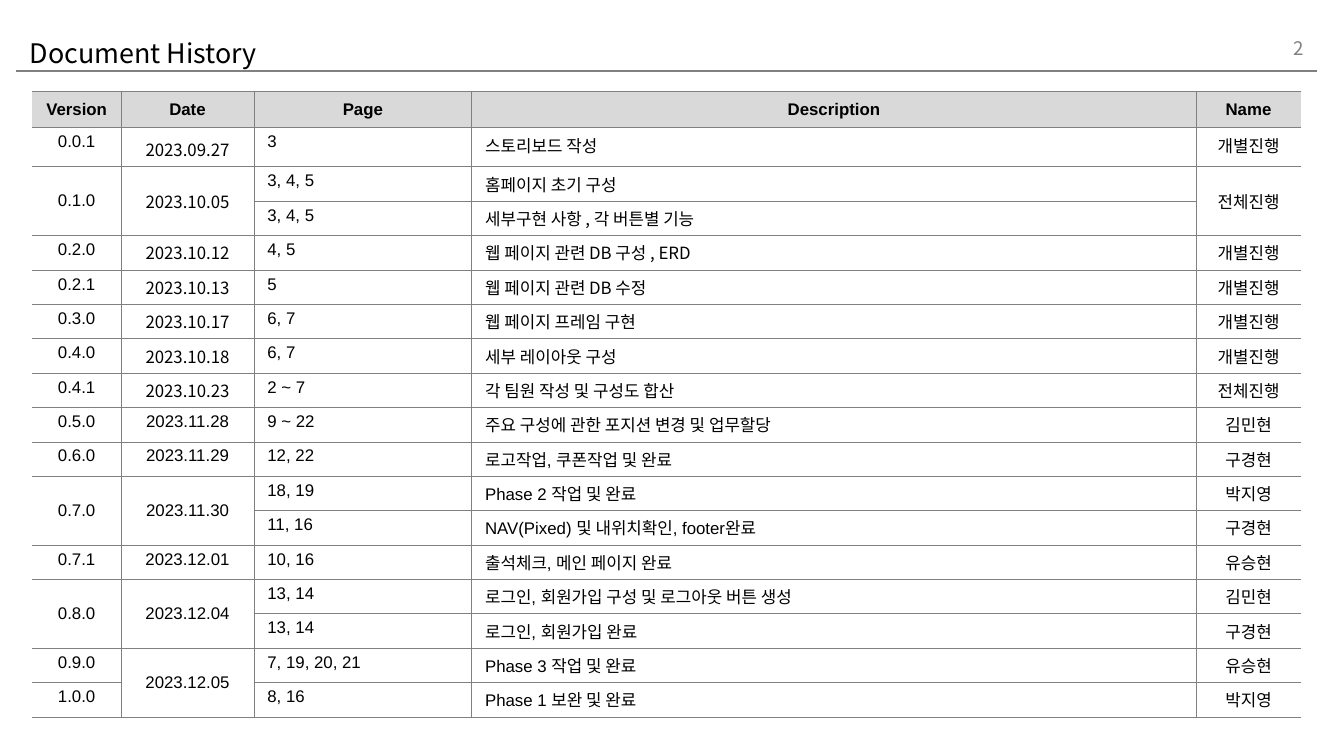
from lxml.etree import SubElement
from pptx import Presentation
from pptx.dml.color import RGBColor
from pptx.enum.shapes import MSO_CONNECTOR
from pptx.enum.text import MSO_ANCHOR, PP_ALIGN
from pptx.oxml import parse_xml
from pptx.oxml.ns import nsdecls, qn
from pptx.util import Inches, Pt

BLACK = RGBColor(0x00, 0x00, 0x00)
GRAY = RGBColor(0x80, 0x80, 0x80)
HEADER_FILL = RGBColor(0xD9, 0xD9, 0xD9)
WHITE = RGBColor(0xFF, 0xFF, 0xFF)
ARIAL, NOTO = "Arial", "Noto Sans CJK KR"

TITLE = "Document History"
PAGE_NUMBER = "2"
HEADINGS = ("Version", "Date", "Page", "Description", "Name")
HISTORY = [
    ("0.0.1", "2023.09.27", "3", "스토리보드 작성", "개별진행"),
    ("0.1.0", "2023.10.05", "3, 4, 5", "홈페이지 초기 구성", "전체진행"),
    (None, None, "3, 4, 5", "세부구현 사항 , 각 버튼별 기능", None),
    ("0.2.0", "2023.10.12", "4, 5", "웹 페이지 관련 DB 구성 , ERD", "개별진행"),
    ("0.2.1", "2023.10.13", "5", "웹 페이지 관련 DB 수정", "개별진행"),
    ("0.3.0", "2023.10.17", "6, 7", "웹 페이지 프레임 구현", "개별진행"),
    ("0.4.0", "2023.10.18", "6, 7", "세부 레이아웃 구성", "개별진행"),
    ("0.4.1", "2023.10.23", "2 ~ 7", "각 팀원 작성 및 구성도 합산", "전체진행"),
    ("0.5.0", "2023.11.28", "9 ~ 22", "주요 구성에 관한 포지션 변경 및 업무할당", "김민현"),
    ("0.6.0", "2023.11.29", "12, 22", "로고작업, 쿠폰작업 및 완료", "구경현"),
    ("0.7.0", "2023.11.30", "18, 19", "Phase 2 작업 및 완료", "박지영"),
    (None, None, "11, 16", "NAV(Pixed) 및 내위치확인, footer완료", "구경현"),
    ("0.7.1", "2023.12.01", "10, 16", "출석체크, 메인 페이지 완료", "유승현"),
    ("0.8.0", "2023.12.04", "13, 14", "로그인, 회원가입 구성 및 로그아웃 버튼 생성", "김민현"),
    (None, None, "13, 14", "로그인, 회원가입 완료", "구경현"),
    ("0.9.0", "2023.12.05", "7, 19, 20, 21", "Phase 3 작업 및 완료", "유승현"),
    ("1.0.0", None, "8, 16", "Phase 1 보완 및 완료", "박지영"),
]
ROWS = [HEADINGS, *HISTORY]
COLUMN_WIDTHS = (0.66, 0.99, 1.62, 5.39, 0.78)
TABLE_HEIGHT, HEADER_HEIGHT, FIRST_HEIGHT = 4.66, 0.27, 0.29
ENTRY_HEIGHT = (TABLE_HEIGHT - HEADER_HEIGHT - FIRST_HEIGHT) / (len(HISTORY) - 1)
ROW_HEIGHTS = [HEADER_HEIGHT, FIRST_HEIGHT] + [ENTRY_HEIGHT] * (len(HISTORY) - 1)
CENTERED = ("Version", "Date", "Name")
NOTO_ROWS = {"Date": range(1, 9), "Description": range(2, 9)}
CELL_FORMAT = {"margin_left": Inches(0.1), "margin_right": Inches(0.1),
               "margin_top": Pt(2.7), "margin_bottom": Pt(2.7)}


def apply(target, **values):
    for key, value in values.items():
        setattr(target, key, value)


def write(frame, text, font, size, color, align, bold=False):
    paragraph = frame.paragraphs[0]
    paragraph.alignment = align
    run = paragraph.add_run()
    run.text = text
    apply(run.font, name=font, size=Pt(size), bold=bold)
    run.font.color.rgb = color
    SubElement(run.font._element, qn("a:ea"), typeface=NOTO)
    return paragraph


def set_borders(cell, column):
    hidden = {"lnL": column == 0, "lnR": column == len(HEADINGS) - 1}
    for place, side in enumerate(("lnL", "lnR", "lnT", "lnB")):
        paint = ("<a:noFill/>" if hidden.get(side) else
                 f'<a:solidFill><a:srgbClr val="{GRAY}"/></a:solidFill>')
        border = parse_xml(f'<a:{side} {nsdecls("a")} w="{Pt(0.25)}">{paint}</a:{side}>')
        cell._tc.get_or_add_tcPr().insert(place, border)


def fill_cell(cell, text, row, column):
    heading = HEADINGS[column]
    is_header = row == 0
    cell.fill.solid()
    cell.fill.fore_color.rgb = HEADER_FILL if is_header else WHITE
    set_borders(cell, column)
    apply(cell, **CELL_FORMAT)
    if text is None:
        return
    spans = row + 1 < len(ROWS) and ROWS[row + 1][column] is None
    cell.vertical_anchor = MSO_ANCHOR.MIDDLE if is_header or spans else MSO_ANCHOR.TOP
    font = NOTO if row in NOTO_ROWS.get(heading, ()) else ARIAL
    align = PP_ALIGN.CENTER if is_header or heading in CENTERED else PP_ALIGN.LEFT
    paragraph = write(cell.text_frame, text, font, 9, BLACK, align, is_header)
    if row == 1 and heading == "Date":
        paragraph.line_spacing = 1.2


def add_history(slide):
    table = slide.shapes.add_table(
        len(ROWS), len(HEADINGS), Inches(0.24), Inches(0.68),
        Inches(sum(COLUMN_WIDTHS)), Inches(TABLE_HEIGHT)).table
    for column, width in zip(table.columns, COLUMN_WIDTHS):
        column.width = Inches(width)
    for row, height in zip(table.rows, ROW_HEIGHTS):
        row.height = Inches(height)
    for row, entry in enumerate(ROWS):
        for column, text in enumerate(entry):
            cell = table.cell(row, column)
            fill_cell(cell, text, row, column)
            if text is None:
                table.cell(row - 1, column).merge(cell)


def main():
    deck = Presentation()
    apply(deck, slide_width=Inches(10), slide_height=Inches(10) * 9 // 16)
    slide = deck.slides.add_slide(deck.slide_layouts[5])

    rule = slide.shapes.add_connector(
        MSO_CONNECTOR.STRAIGHT, Inches(0.12), Inches(0.53), Inches(9.8), Inches(0.53))
    rule.line.color.rgb = GRAY
    rule.line.width = Pt(1)
    SubElement(rule._element.spPr, qn("a:effectLst"))

    title = slide.shapes.title
    apply(title, left=Inches(0.12), top=Inches(0.23), width=Inches(8.03), height=Inches(0.3))
    number = slide.shapes.add_textbox(Inches(9.2), Inches(0.21), Inches(0.6), Inches(0.3))
    for box in (title, number):
        apply(box.text_frame, word_wrap=True, vertical_anchor=MSO_ANCHOR.MIDDLE)
    apply(title.text_frame, margin_top=Inches(0.03), margin_bottom=0)
    write(title.text_frame, TITLE, NOTO, 14.4, BLACK, PP_ALIGN.LEFT)
    write(number.text_frame, PAGE_NUMBER, NOTO, 10, GRAY, PP_ALIGN.RIGHT)

    add_history(slide)
    deck.save("out.pptx")


if __name__ == "__main__":
    main()
